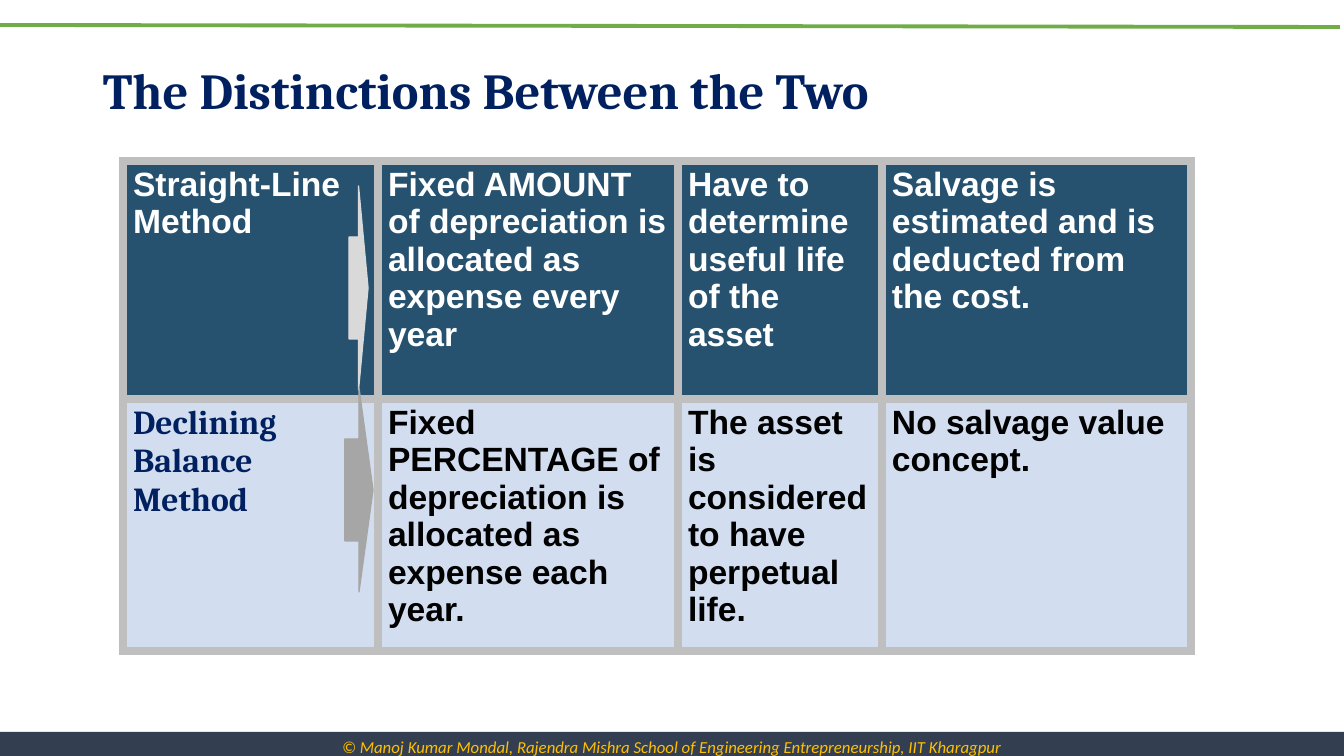
from dataclasses import dataclass

from lxml.etree import SubElement
from pptx import Presentation
from pptx.dml.color import RGBColor
from pptx.enum.shapes import MSO_CONNECTOR as Connector, MSO_SHAPE as Preset
from pptx.enum.text import MSO_ANCHOR as Anchor, PP_ALIGN as Align
from pptx.oxml.ns import qn
from pptx.util import Emu, Pt


@dataclass(frozen=True)
class Theme:
    navy: str = "002060"
    white: str = "FFFFFF"
    black: str = "000000"
    amber: str = "FFC000"
    slate: str = "333F50"
    green: str = "70AD47"
    grid: str = "BFBFBF"
    dark_row: str = "26526F"
    light_row: str = "D2DEEF"
    light_arrow: str = "D9D9D9"
    dark_arrow: str = "A6A6A6"
    heading_font: str = "Cambria"
    body_font: str = "Arial"
    footer_font: str = "Calibri"
    title_size: int = 36
    table_size: int = 24
    footer_size: int = 12
    grid_width: int = 6


theme = Theme()

# Content
TITLE = "The Distinctions Between the Two"
FOOTER = ("© Manoj Kumar Mondal, Rajendra Mishra School of Engineering "
          "Entrepreneurship, IIT Kharagpur")
METHODS = [
    dict(name="Straight-Line Method", name_style=(theme.body_font, theme.white),
         text_color=theme.white, fill=theme.dark_row, height=238,
         traits=["Fixed AMOUNT of depreciation is allocated as expense every year",
                 "Have to determine useful life of the asset",
                 "Salvage is estimated and is deducted from the cost."]),
    dict(name="Declining Balance Method", name_style=(theme.heading_font, theme.navy),
         text_color=theme.black, fill=theme.light_row, height=234,
         traits=["Fixed PERCENTAGE of depreciation is allocated as expense each year.",
                 "The asset is considered to have perpetual life.",
                 "No salvage value concept."]),
]

# Layout in pixels
SLIDE_SIZE = (1344, 756)
TITLE_BOX = (93, 40, 1159, 107)
FOOTER_BOX = (0, 732, 1344, 30)
TOP_RULE = (0, 25, 1340, 27)
TABLE_ORIGIN = (123, 161)
COLUMN_WIDTHS = (255, 300, 204, 309)
ARROWS = [((349, 186, 19, 204), theme.light_arrow),
          ((345, 388, 28, 204), theme.dark_arrow)]
EMU_PER_PIXEL = 914400 / 100.8


def px(*lengths):
    return [Emu(round(length * EMU_PER_PIXEL)) for length in lengths]


def color(code):
    return RGBColor.from_string(code)


def paint(target, code):
    target.fill.solid()
    target.fill.fore_color.rgb = color(code)


def add_run(frame, text, font, size, code, bold=False, italic=False):
    paragraph = frame.paragraphs[0]
    run = paragraph.add_run()
    run.text = text
    run.font.name, run.font.size = font, Pt(size)
    run.font.color.rgb = color(code)
    run.font.bold, run.font.italic = bold, italic
    return paragraph


def add_preset(slide, preset, box, fill):
    shape = slide.shapes.add_shape(preset, *px(*box))
    shape.shadow.inherit = False
    paint(shape, fill)
    return shape


def add_borders(cell):
    properties = cell._tc.get_or_add_tcPr()
    for side in ("a:lnL", "a:lnR", "a:lnT", "a:lnB"):
        border = SubElement(properties, qn(side), w=str(Pt(theme.grid_width)))
        solid = SubElement(border, qn("a:solidFill"))
        SubElement(solid, qn("a:srgbClr"), val=theme.grid)


presentation = Presentation()
presentation.slide_width, presentation.slide_height = px(*SLIDE_SIZE)
slide = presentation.slides.add_slide(presentation.slide_layouts[6])

# Footer band
footer = add_preset(slide, Preset.RECTANGLE, FOOTER_BOX, theme.slate)
footer.line.fill.background()
footer.text_frame.word_wrap = True
footer.text_frame.vertical_anchor = Anchor.TOP
paragraph = add_run(footer.text_frame, FOOTER, theme.footer_font,
                    theme.footer_size, theme.amber, italic=True)
paragraph.alignment = Align.CENTER

# Top rule
rule = slide.shapes.add_connector(Connector.STRAIGHT, *px(*TOP_RULE))
rule.line.color.rgb = color(theme.green)
rule.line.width = Pt(2.75)
SubElement(rule._element.spPr, qn("a:effectLst"))

# Title
title = slide.shapes.add_textbox(*px(*TITLE_BOX))
title.text_frame.word_wrap = True
title.text_frame.vertical_anchor = Anchor.MIDDLE
paragraph = add_run(title.text_frame, TITLE, theme.heading_font,
                    theme.title_size, theme.navy, bold=True)
paragraph.line_spacing = 0.9

# Comparison table
heights = [method["height"] for method in METHODS]
table = slide.shapes.add_table(
    len(METHODS), len(COLUMN_WIDTHS),
    *px(*TABLE_ORIGIN, sum(COLUMN_WIDTHS), sum(heights))).table
table.first_row = table.horz_banding = False
for column, width in zip(table.columns, px(*COLUMN_WIDTHS)):
    column.width = width
for row, height, method in zip(table.rows, px(*heights), METHODS):
    row.height = height
    trait_style = (theme.body_font, method["text_color"])
    entries = [(method["name"], method["name_style"])]
    entries += [(trait, trait_style) for trait in method["traits"]]
    for cell, (text, (font, code)) in zip(row.cells, entries):
        add_borders(cell)
        paint(cell, method["fill"])
        add_run(cell.text_frame, text, font, theme.table_size, code, bold=True)

# Arrows from each method to its traits
for box, code in ARROWS:
    arrow = add_preset(slide, Preset.RIGHT_ARROW, box, code)
    arrow.line.color.rgb = color(code)
    arrow.line.width = Pt(1)

presentation.save("out.pptx")
